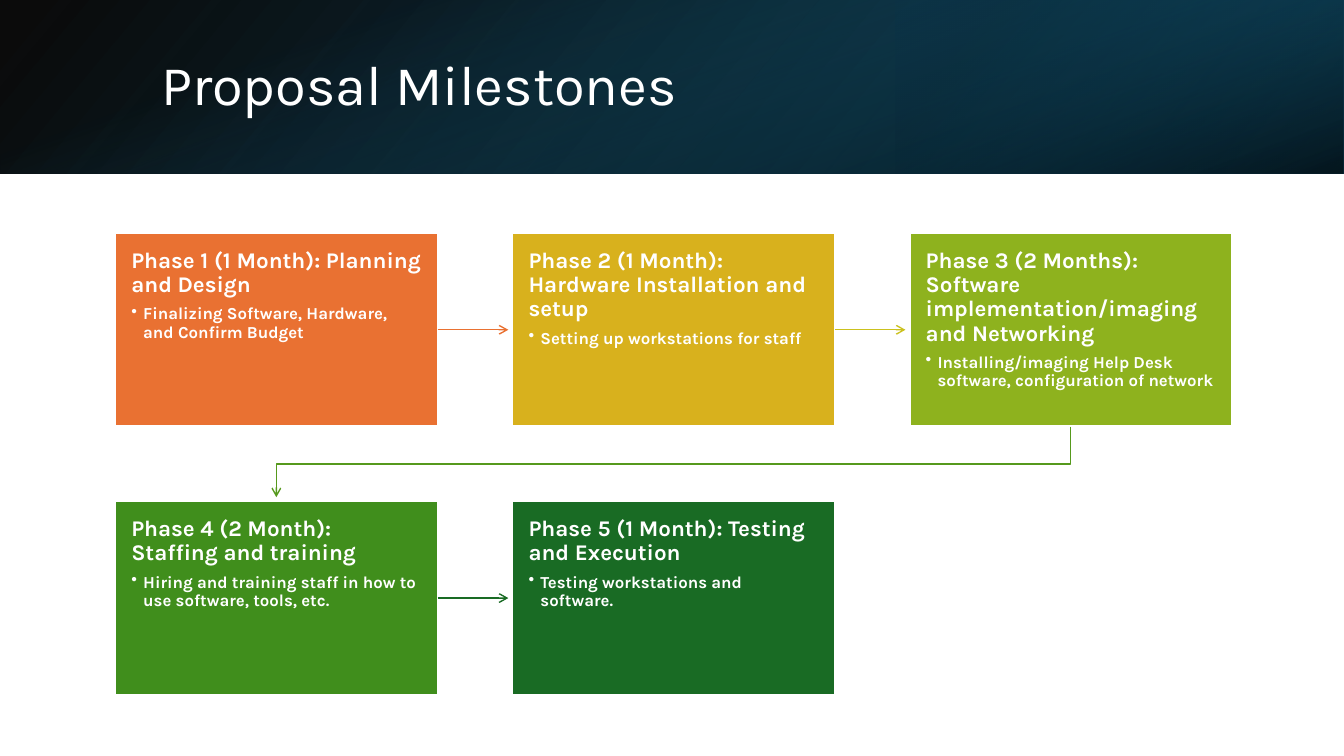
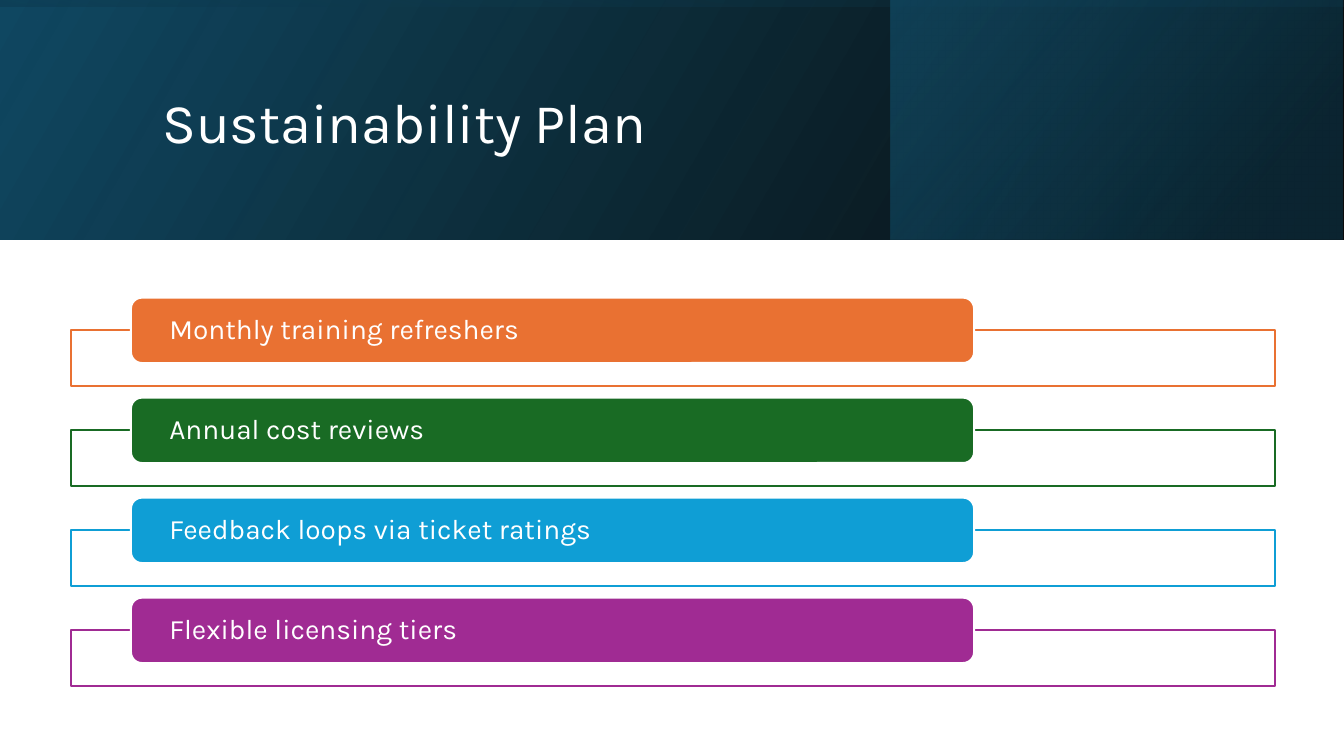
"""Build the milestones and sustainability slides."""
from lxml.etree import SubElement
from pptx import Presentation
from pptx.dml.color import RGBColor as Rgb
from pptx.enum.shapes import MSO_CONNECTOR as Link, MSO_SHAPE as Shape
from pptx.enum.text import MSO_ANCHOR as Anchor, PP_ALIGN as Align
from pptx.oxml.ns import qn
from pptx.util import Cm, Pt

COLOURS = {
    "white": "FFFFFF", "black": "000000", "navy": "104862", "night": "0B3041",
    "teal": "156082", "orange": "E97132", "gold": "D8B11D", "lime": "8EB21E",
    "leaf": "408E1C", "forest": "196B24", "olive": "CBC11E", "moss": "56991D",
    "sky": "0F9ED5", "plum": "A02B93",
}
INK = {name: Rgb.from_string(value) for name, value in COLOURS.items()}
WIDTH, HEIGHT = 33.87, 19.05
TITLE = {"size": Pt(40), "name": "Karla"}
HEADING = {"size": Pt(16), "name": "Karla", "bold": True}
BULLET = {"size": Pt(12), "name": "Karla", "bold": True}
BAR = {"size": Pt(20), "name": "Karla"}


def add_box(page, kind, frame, fill=None, line=None):
    box = page.shapes.add_shape(kind, *[Cm(value) for value in frame])
    box.shadow.inherit = False
    if fill:
        box.fill.solid()
        box.fill.fore_color.rgb = INK[fill]
    if line:
        box.line.color.rgb = INK[line]
        box.line.width = Pt(1.5)
    else:
        box.line.fill.background()
    return box


def write(box, lines, anchor, side, edge):
    frame = box.text_frame
    layout = {
        "word_wrap": True, "vertical_anchor": anchor,
        "margin_left": Cm(side), "margin_right": Cm(side),
        "margin_top": Cm(edge), "margin_bottom": Cm(edge),
    }
    for name, value in layout.items():
        setattr(frame, name, value)
    for index, (text, style) in enumerate(lines):
        para = frame.add_paragraph() if index else frame.paragraphs[0]
        para.alignment = Align.LEFT
        para.line_spacing = 0.9
        para.space_after = Pt(5.6) if style is HEADING else Pt(0)
        if style is BULLET:
            props = para._p.get_or_add_pPr()
            props.set("marL", str(Cm(0.3)))
            props.set("indent", str(-Cm(0.3)))
            SubElement(props, qn("a:buChar")).set("char", "•")
        span = para.add_run()
        span.text = text
        span.font.color.rgb = INK["white"]
        for name, value in style.items():
            setattr(span.font, name, value)


deck = Presentation()
deck.slide_width, deck.slide_height = Cm(WIDTH), Cm(HEIGHT)

headers = [
    ("Proposal Milestones", 4.37, (3.81, 0.97, 27.89, 2.44), [
        (0, WIDTH, 0, True, 140, [(0, "black", 96), (1, "navy", 100)]),
        (22.58, 11.29, 180, True, 320, [(0.19, "night", 68), (1, "teal", 79)]),
        (0, WIDTH, 90, False, 340, [(0.23, "teal", 0), (0.99, "black", 74)]),
    ]),
    ("Sustainability Plan", 6.03, (3.84, 0.97, 27, 4.37), [
        (0, WIDTH, 0, True, 330, [(0, "black", 96), (1, "navy", 100)]),
        (22.45, 11.38, 0, True, 320, [(0.19, "night", 68), (1, "teal", 48)]),
        (0, WIDTH, 270, True, 350, [(0.23, "navy", 16), (0.99, "black", 45)]),
    ]),
]
pages = []
for title, depth, title_frame, bands in headers:
    page = deck.slides.add_slide(deck.slide_layouts[6])
    pages.append(page)
    for left, width, turn, flipped, angle, stops in bands:
        frame = (left, 0, width, depth)
        if turn in (90, 270):
            shift = (width - depth) / 2
            frame = (left + shift, -shift, depth, width)
        band = add_box(page, Shape.RECTANGLE, frame)
        band.rotation = turn
        if flipped:
            band._element.spPr.xfrm.set("flipH", "1")
        band.fill.gradient()
        band.fill.gradient_angle = 360 - angle
        for stop, (position, colour, opacity) in zip(band.fill.gradient_stops, stops):
            stop.position = position
            stop.color.rgb = INK[colour]
        for node, stop in zip(band._element.spPr.iter(qn("a:srgbClr")), stops):
            SubElement(node, qn("a:alpha")).set("val", str(stop[2] * 1000))
    title_box = page.shapes.add_textbox(*[Cm(value) for value in title_frame])
    write(title_box, [(title, TITLE)], Anchor.MIDDLE, 0.25, 0.13)

milestones, sustainability = pages

phases = [
    ("Phase 1 (1 Month): Planning and Design",
     "Finalizing Software, Hardware, and Confirm Budget", "orange"),
    ("Phase 2 (1 Month): Hardware Installation and setup",
     "Setting up workstations for staff", "gold"),
    ("Phase 3 (2 Months): Software implementation/imaging and Networking",
     "Installing/imaging Help Desk software, configuration of network", "lime"),
    ("Phase 4 (2 Month): Staffing and training",
     "Hiring and training staff in how to use software, tools, etc.", "leaf"),
    ("Phase 5 (1 Month): Testing and Execution",
     "Testing workstations and software.", "forest"),
]
phase_boxes = []
for index, (heading, detail, colour) in enumerate(phases):
    row, column = divmod(index, 3)
    frame = (2.9 + 10.01 * column, 5.87 + 6.76 * row, 8.13, 4.88)
    box = add_box(milestones, Shape.RECTANGLE, frame, colour, "white")
    write(box, [(heading, HEADING), (detail, BULLET)], Anchor.TOP, 0.41, 0.41)
    phase_boxes.append(box)

gap = Cm(0.1)
arrow_colours = ["orange", "olive", "moss", "forest"]
for start, end, colour in zip(phase_boxes, phase_boxes[1:], arrow_colours):
    if start.top == end.top:
        middle = start.top + start.height // 2
        arrow = milestones.shapes.add_connector(
            Link.STRAIGHT, start.left + start.width, middle, end.left - gap, middle)
        arrow.begin_connect(start, 3)
    else:
        start_x, end_x = [box.left + box.width // 2 for box in (start, end)]
        bottom = start.top + start.height
        turn_y = (bottom + end.top) // 2
        route = milestones.shapes.build_freeform(start_x, bottom)
        route.add_line_segments(
            [(start_x, turn_y), (end_x, turn_y), (end_x, end.top - gap)], close=False)
        arrow = route.convert_to_shape()
        arrow.fill.background()
    arrow.line.color.rgb = INK[colour]
    arrow.line.width = Pt(1)
    SubElement(arrow.line._get_or_add_ln(), qn("a:tailEnd")).set("type", "arrow")
    SubElement(arrow._element.spPr, qn("a:effectLst"))

measures = [
    ("Monthly training refreshers", "orange"),
    ("Annual cost reviews", "forest"),
    ("Feedback loops via ticket ratings", "sky"),
    ("Flexible licensing tiers", "plum"),
]
for index, (text, colour) in enumerate(measures):
    top = 7.5 + 2.52 * index
    add_box(sustainability, Shape.RECTANGLE, (1.78, top + 0.82, 30.35, 1.4), "white", colour)
    bar = add_box(sustainability, Shape.ROUNDED_RECTANGLE, (3.3, top, 21.25, 1.65), colour, "white")
    write(bar, [(text, BAR)], Anchor.MIDDLE, 0.89, 0)

deck.save("out.pptx")
